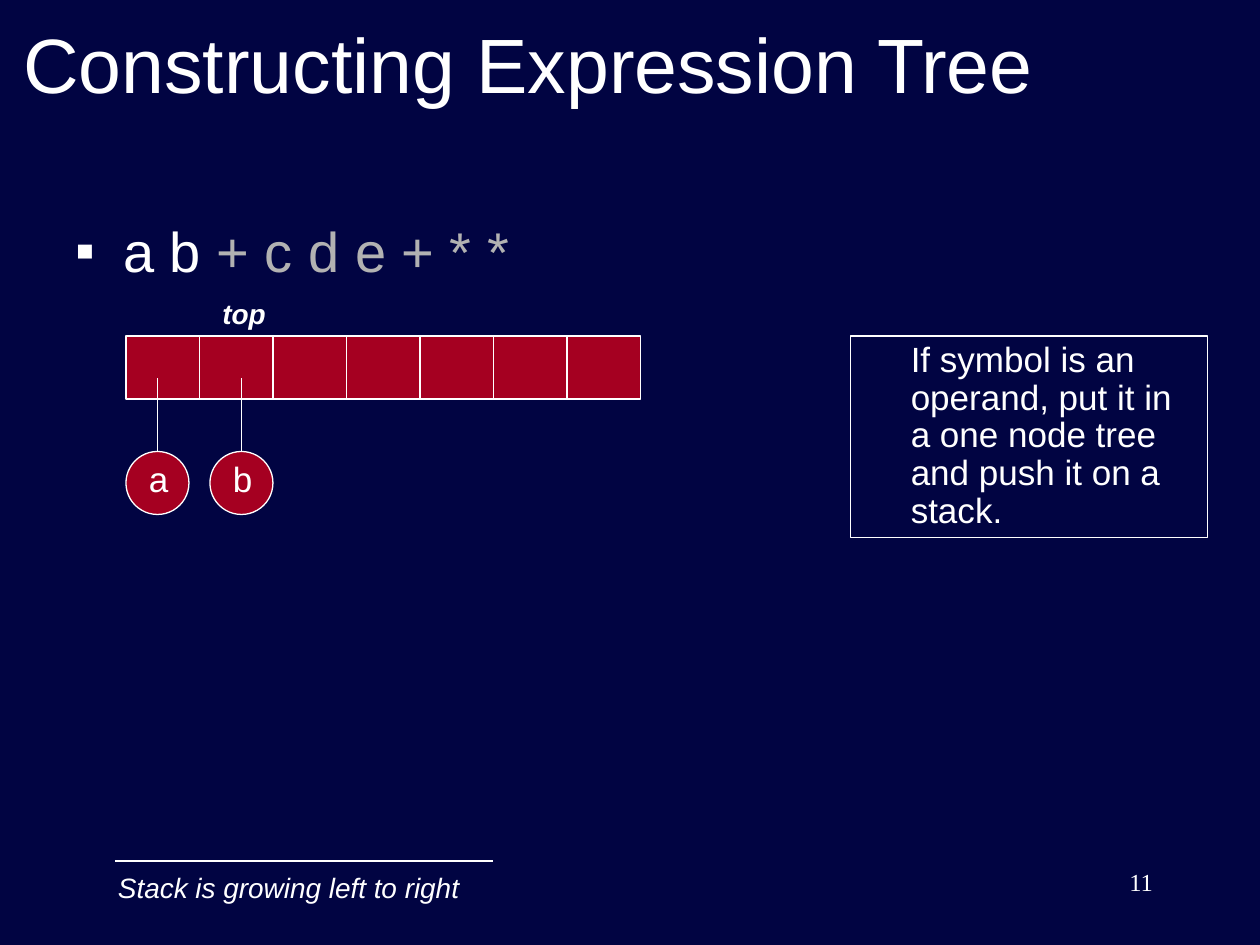
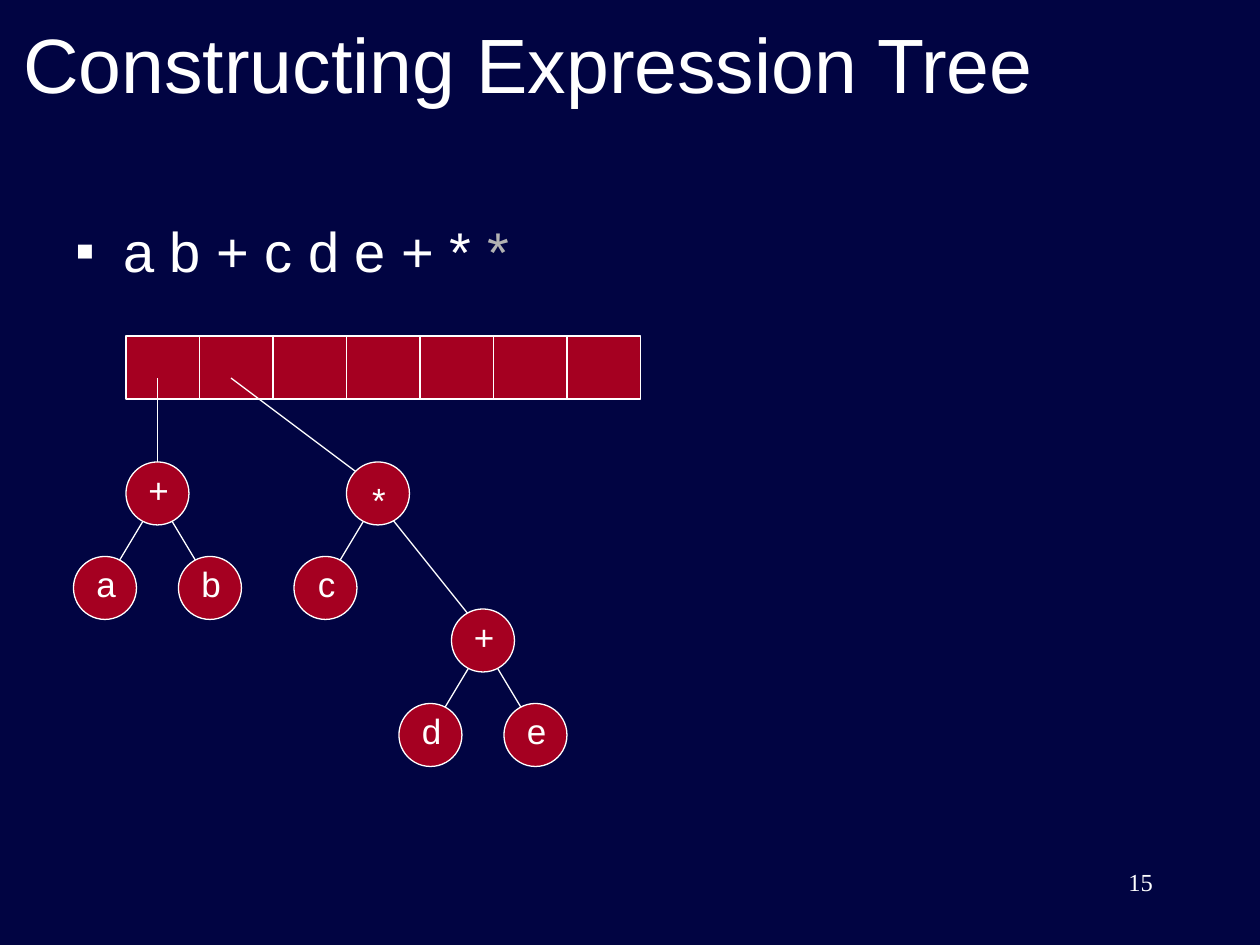
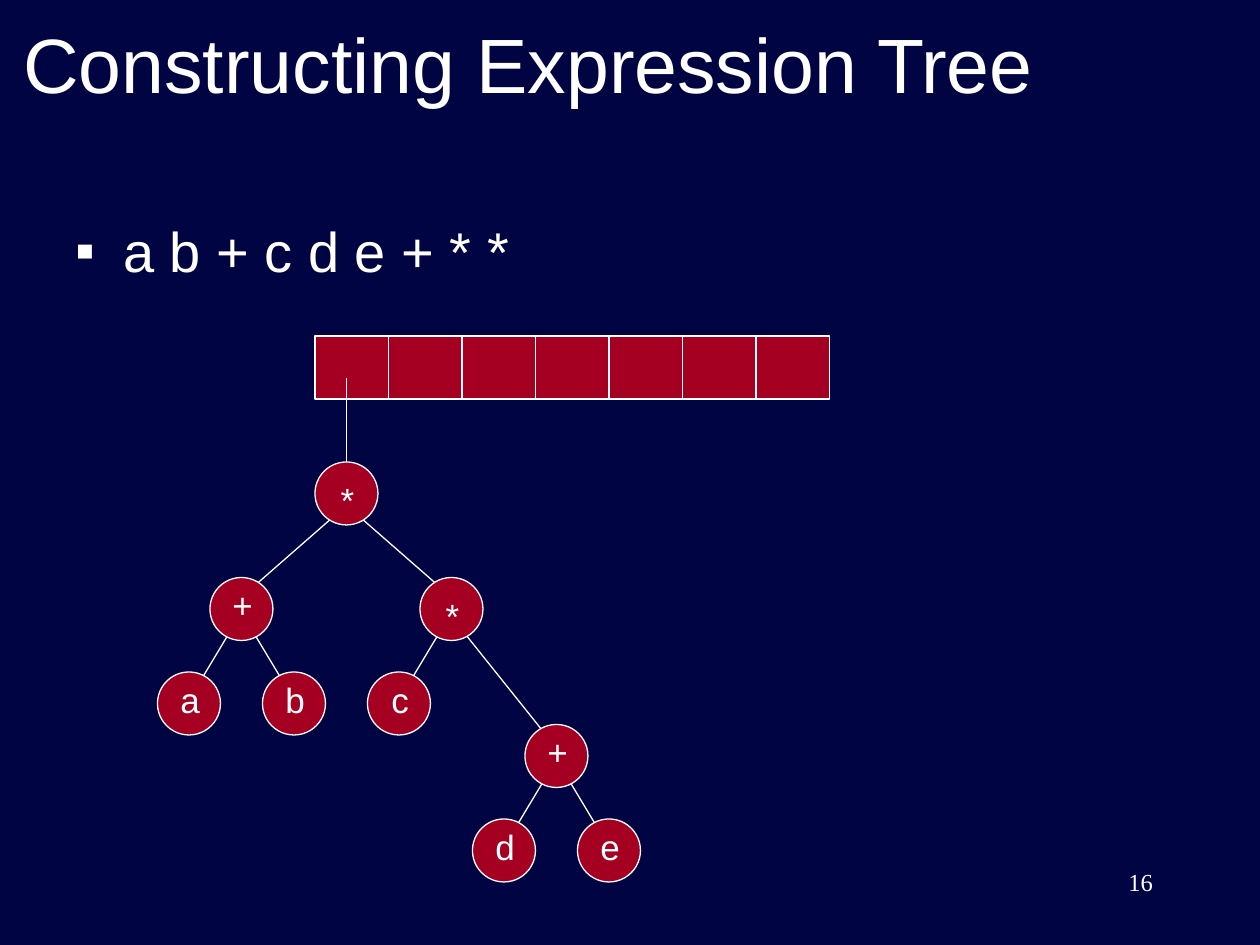
from dataclasses import dataclass

from lxml import etree
from pptx import Presentation
from pptx import util as u
from pptx.dml.color import RGBColor
from pptx.enum import shapes, text
from pptx.oxml.ns import qn

NAVY, RED, WHITE, GREY = "010442", "A50021", "FFFFFF", "B2B2B2"
SANS, SERIF = "Arial", "Times New Roman"
TITLE = "Constructing Expression Tree"
CELLS_PER_INCH = 12
STACK_TOP, STACK_HEIGHT, SLOT_WIDTH, SLOTS = 32, 6, 7, 7
POINTER_Y = 36
RADIUS = 3


@dataclass(frozen=True)
class Node:
    """A tree node with its children as (columns, rows, node) offsets."""
    label: str
    children: tuple = ()


def operation(symbol, left, right, right_offset=(5, 9)):
    """Return an operator node above two operands."""
    return Node(symbol, ((-5, 9, left), (*right_offset, right)))


A, B, C, D, E = (Node(letter) for letter in "abcde")
SUM_AB = operation("+", A, B)
PRODUCT = operation("*", C, operation("+", D, E), (10, 14))
WHOLE = Node("*", ((-10, 11, SUM_AB), (10, 11, PRODUCT)))


def cells(*counts):
    """Turn grid cells into lengths."""
    return [u.Inches(count / CELLS_PER_INCH) for count in counts]


def color(hex_code):
    """Turn a hex string into a colour."""
    return RGBColor.from_string(hex_code)


def style(run, size, font=SANS, ink=WHITE, bold=False, italic=False):
    """Format one run."""
    run.font.size = u.Pt(size)
    run.font.name = font
    run.font.bold = bold
    run.font.italic = italic
    run.font.color.rgb = color(ink)


def fill_text(holder, wording, size, align=text.PP_ALIGN.LEFT, wrap=True, spacing=None, **look):
    """Write one paragraph into a shape and return the paragraph."""
    frame = holder.text_frame
    frame.text = wording
    frame.word_wrap = wrap
    frame.auto_size = text.MSO_AUTO_SIZE.NONE
    frame.vertical_anchor = text.MSO_ANCHOR.TOP
    paragraph = frame.paragraphs[0]
    paragraph.alignment = align
    paragraph.line_spacing = spacing
    style(paragraph.runs[0], size, **look)
    return paragraph


def add_label(parent, box, wording, size, **options):
    """Add a text box on the grid and return its paragraph."""
    return fill_text(parent.add_textbox(*cells(*box)), wording, size, **options)


def add_figure(parent, kind, box, fill=None):
    """Add a white-outlined preset shape on the grid."""
    figure = parent.add_shape(kind, *cells(*box))
    figure.shadow.inherit = False
    if fill:
        figure.fill.solid()
        figure.fill.fore_color.rgb = color(fill)
    else:
        figure.fill.background()
    figure.line.color.rgb = color(WHITE)
    figure.line.width = u.Pt(0.75)
    return figure


def add_line(slide, start, end):
    """Draw a thin white line between two grid points."""
    line = slide.shapes.add_connector(shapes.MSO_CONNECTOR.STRAIGHT, *cells(*start, *end))
    line.line.color.rgb = color(WHITE)
    line.line.width = u.Pt(0.75)
    etree.SubElement(line._element.spPr, qn("a:effectLst"))


def add_title(slide):
    """Place and format the slide title."""
    title = slide.shapes.title
    title.left, title.top, title.width, title.height = cells(1, 0, 108, 12)
    fill_text(title, TITLE, 44)
    title.text_frame.vertical_anchor = text.MSO_ANCHOR.MIDDLE


def add_expression(slide, done, pending):
    """Write the postfix expression, with unread symbols in grey."""
    paragraph = add_label(slide.shapes, (6, 20, 108, 11), done, 32)
    properties = paragraph._p.get_or_add_pPr()
    properties.set("marL", str(u.Inches(0.38)))
    properties.set("indent", str(-u.Inches(0.38)))
    bullet_color = etree.SubElement(properties, qn("a:buClr"))
    etree.SubElement(bullet_color, qn("a:srgbClr"), val=WHITE)
    etree.SubElement(properties, qn("a:buFont"), typeface=SANS)
    etree.SubElement(properties, qn("a:buChar"), char="▪")
    if pending:
        rest = paragraph.add_run()
        rest.text = pending
        style(rest, 32, ink=GREY)


def add_stack(slide, left):
    """Draw the stack as a row of equal slots."""
    add_figure(slide.shapes, shapes.MSO_SHAPE.RECTANGLE,
               (left, STACK_TOP, SLOTS * SLOT_WIDTH, STACK_HEIGHT), RED)
    for slot in range(1, SLOTS):
        x = left + slot * SLOT_WIDTH
        add_line(slide, (x, STACK_TOP), (x, STACK_TOP + STACK_HEIGHT))


def add_node(slide, label, x, y):
    """Draw a labelled circle centred on a grid point."""
    group = slide.shapes.add_group_shape().shapes
    left, top = x - RADIUS, y - RADIUS
    add_figure(group, shapes.MSO_SHAPE.OVAL, (left, top, 2 * RADIUS, 2 * RADIUS), RED)
    drop = 1 if label == "*" else 0
    add_label(group, (left + 1, top + drop, 4.2, 5.25), label, 20,
              align=text.PP_ALIGN.CENTER, wrap=False)


def add_tree(slide, node, x, y):
    """Draw a node with its edges and subtrees below it."""
    for dx, dy, child in node.children:
        side = 1 if dx > 0 else -1
        add_line(slide, (x + side, y + 2), (x + dx - side, y + dy - 2))
        add_tree(slide, child, x + dx, y + dy)
    add_node(slide, node.label, x, y)


def add_stacked_tree(slide, node, slot_x, x, y):
    """Draw a tree and the pointer to it from its stack slot."""
    lean = 2 if x > slot_x else 0
    add_line(slide, (slot_x, POINTER_Y), (x - lean, y - 2))
    add_tree(slide, node, x, y)


def add_push_notes(slide):
    """Explain the push rule and the direction of the stack."""
    add_label(slide.shapes, (20, 28, 9, 4), "top", 16, spacing=0.9, bold=True, italic=True)
    rule = add_figure(slide.shapes, shapes.MSO_SHAPE.RECTANGLE, (81, 32, 34, 19.2))
    paragraph = fill_text(
        rule, "If symbol is an operand, put it in a one node tree and push it on a stack.",
        20, spacing=0.9)
    paragraph._p.get_or_add_pPr().set("marL", str(u.Inches(0.38)))
    add_line(slide, (11, 82), (47, 82))
    add_label(slide.shapes, (10, 82.3, 35, 4.4), "Stack is growing left to right", 16,
              align=text.PP_ALIGN.CENTER, wrap=False, italic=True)


def add_step(deck, number, done, pending, stack_left, trees):
    """Add one step: title, expression, stack, trees and page number."""
    slide = deck.slides.add_slide(deck.slide_layouts[5])
    add_title(slide)
    add_expression(slide, done, pending)
    add_stack(slide, stack_left)
    for tree in trees:
        add_stacked_tree(slide, *tree)
    add_label(slide.shapes, (86, 82, 25, 6), str(number), 14,
              align=text.PP_ALIGN.RIGHT, font=SERIF)
    return slide


def main():
    """Build the three steps and save them."""
    deck = Presentation()
    deck.slide_width, deck.slide_height = u.Inches(10), u.Inches(7.5)
    background = deck.slide_master.background.fill
    background.solid()
    background.fore_color.rgb = color(NAVY)

    push = add_step(deck, 11, "a b ", "+ c d e + * *", 12, [(A, 15, 15, 46), (B, 23, 23, 46)])
    add_push_notes(push)
    add_step(deck, 15, "a b + c d e + *", " *", 12,
             [(SUM_AB, 15, 15, 47), (PRODUCT, 22, 36, 47)])
    add_step(deck, 16, "a b + c d e + * *", "", 30, [(WHOLE, 33, 33, 47)])
    deck.save("out.pptx")


if __name__ == "__main__":
    main()
